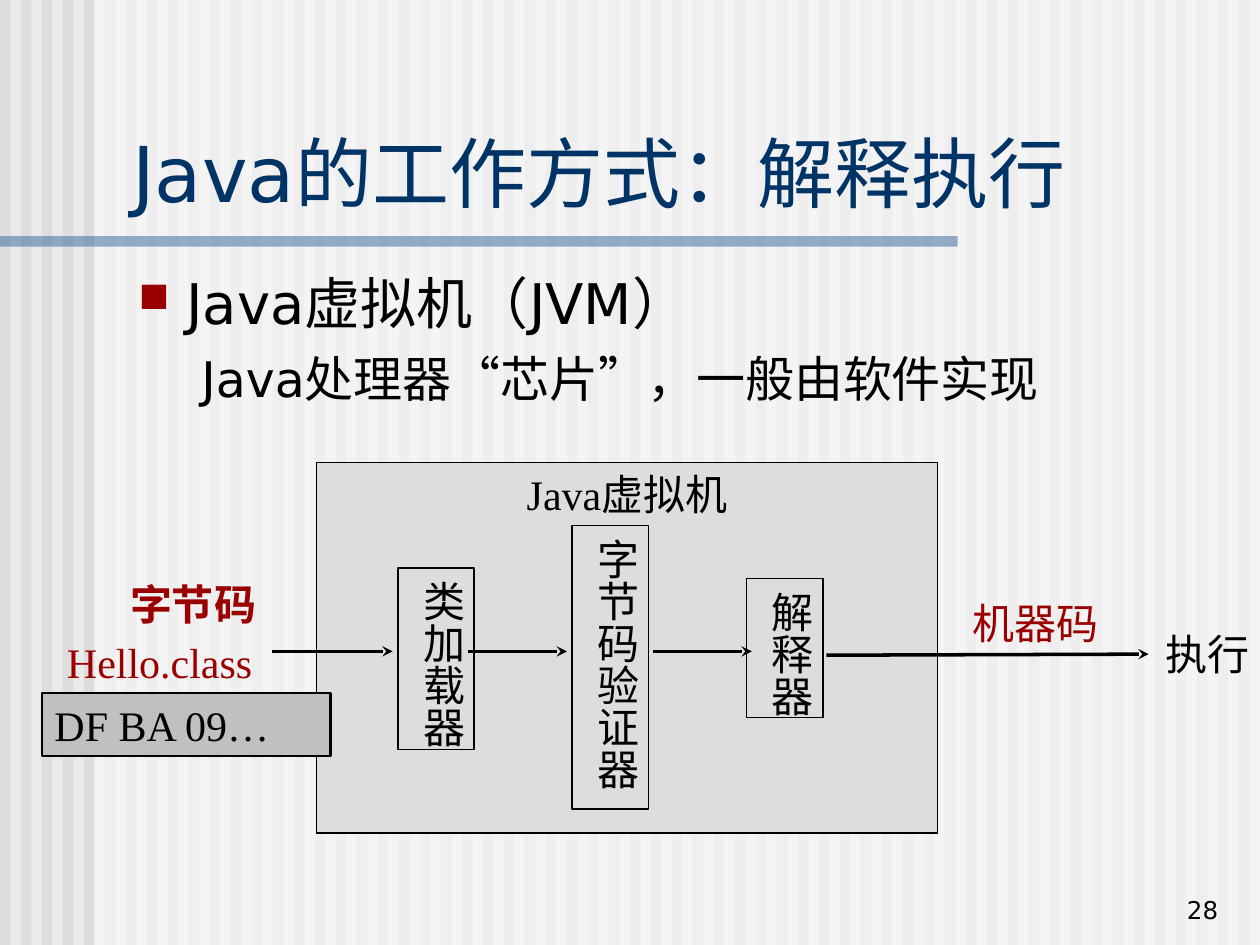
from dataclasses import dataclass

import pptx
import pptx.dml.color
import pptx.enum.shapes
import pptx.enum.text
import pptx.oxml
import pptx.oxml.ns
import pptx.util

COLS, ROWS = 60, 45
ALIGN = pptx.enum.text.PP_ALIGN
ANCHOR = pptx.enum.text.MSO_ANCHOR


@dataclass(frozen=True)
class Theme:
    """Colours, fonts and type sizes of the slide."""
    back: str = "EAEAEA"
    panel: str = "DDDDDD"
    code: str = "C0C0C0"
    veil: str = "FFFFFF"
    rule: str = "336699"
    title: str = "003366"
    accent: str = "9A0000"
    ink: str = "000000"
    sans: str = "DejaVu Sans"
    serif: str = "Times New Roman"
    title_pt: int = 44
    body_pt: int = 32
    sub_pt: int = 28
    label_pt: int = 24
    number_pt: int = 14


THEME = Theme()


def grid(*cells):
    """Convert grid cells to lengths."""
    return [pptx.util.Inches(c / 6) for c in cells]


def rgb(value):
    """Return a colour object."""
    return pptx.dml.color.RGBColor.from_string(value)


def add_xml(parent, tag, **attrs):
    """Append a DrawingML element with attributes."""
    child = pptx.oxml.parse_xml(f"<a:{tag} {pptx.oxml.ns.nsdecls('a')}/>")
    for name, value in attrs.items():
        child.set(name, str(value))
    parent.append(child)
    return child


def style(p, text, size, color=THEME.ink, font=THEME.serif, align=ALIGN.LEFT, bold=False):
    """Write and format one paragraph."""
    p.text = text
    p.alignment = align
    p.font.size = pptx.util.Pt(size)
    p.font.name = font
    p.font.bold = bold
    p.font.color.rgb = rgb(color)


def add_box(s, cells, fill, line=None, alpha=None):
    """Add a rectangle, outlined or translucent on request."""
    sp = s.shapes.add_shape(pptx.enum.shapes.MSO_SHAPE.RECTANGLE, *grid(*cells))
    sp.shadow.inherit = False
    sp.fill.solid()
    sp.fill.fore_color.rgb = rgb(fill)
    if alpha:
        color = sp.element.spPr.find(".//" + pptx.oxml.ns.qn("a:srgbClr"))
        add_xml(color, "alpha", val=alpha * 1000)
    if line:
        sp.line.color.rgb = rgb(THEME.ink)
        sp.line.width = pptx.util.Pt(line)
    else:
        sp.line.fill.background()
    return sp


def add_panel(s, cells, text, fill=THEME.panel, line=1, align=ALIGN.LEFT):
    """Add an outlined rectangle with text at its top."""
    sp = add_box(s, cells, fill, line)
    sp.text_frame.vertical_anchor = ANCHOR.TOP
    sp.text_frame.word_wrap = True
    style(sp.text_frame.paragraphs[0], text, THEME.label_pt, align=align)
    return sp


def add_stage(s, cells, text):
    """Add a processing stage with vertical text."""
    tf = add_panel(s, cells, text).text_frame
    tf.word_wrap = False
    tf.margin_left = tf.margin_right = pptx.util.Inches(0.05)
    tf.margin_top = tf.margin_bottom = pptx.util.Inches(0.1)
    tf._txBody.bodyPr.set("vert", "eaVert")


def add_label(s, cells, text, size=THEME.label_pt, anchor=ANCHOR.TOP, **look):
    """Add a free text label."""
    tf = s.shapes.add_textbox(*grid(*cells)).text_frame
    tf.word_wrap = True
    tf.vertical_anchor = anchor
    style(tf.paragraphs[0], text, size, **look)
    return tf


def add_arrow(s, x1, y1, x2, y2):
    """Add a straight arrow."""
    kind = pptx.enum.shapes.MSO_CONNECTOR.STRAIGHT
    cx = s.shapes.add_connector(kind, *grid(x1, y1, x2, y2))
    cx.line.color.rgb = rgb(THEME.ink)
    cx.line.width = pptx.util.Pt(2)
    add_xml(cx.line._get_or_add_ln(), "tailEnd", type="stealth")
    add_xml(cx.element.spPr, "effectLst")


def add_backdrop(s):
    """Draw the stripes, the veil and the title rule."""
    s.background.fill.solid()
    s.background.fill.fore_color.rgb = rgb(THEME.back)
    for col in range(COLS):
        add_box(s, (col, 0, 0.5, ROWS), THEME.panel)
    add_box(s, (4.5, 0, COLS - 4.5, ROWS), THEME.veil, alpha=50)
    add_box(s, (0, 11.25, 45.6, 0.5), THEME.rule, alpha=50)


def add_title(s, text):
    """Place the title placeholder above the backdrop."""
    sp = s.shapes.title
    s.shapes.element.append(sp.element)
    sp.left, sp.top, sp.width, sp.height = grid(5.7, 5.64, 53.6, 5.04)
    sp.text_frame.vertical_anchor = ANCHOR.BOTTOM
    style(sp.text_frame.paragraphs[0], text, THEME.title_pt, THEME.title, THEME.sans)


def add_body(s, heading, detail):
    """Add the bulleted heading and its detail line."""
    tf = add_label(s, (6, 12.5, 53.2, 27.5), heading, THEME.body_pt, font=THEME.sans)
    p = tf.add_paragraph()
    style(p, detail, THEME.sub_pt, font=THEME.sans)
    for p, before, left, first in zip(tf.paragraphs, (8, 7), (0.38, 0.81), (-0.38, -0.31)):
        p.space_before = pptx.util.Pt(before)
        pPr = p._p.get_or_add_pPr()
        pPr.set("marL", str(pptx.util.Inches(left)))
        pPr.set("indent", str(pptx.util.Inches(first)))
    pPr = tf.paragraphs[0]._p.pPr
    bullet = [add_xml(pPr, "buClr"), add_xml(pPr, "buSzPct", val=75000),
              add_xml(pPr, "buChar", char="■")]
    add_xml(bullet[0], "srgbClr", val=THEME.accent)
    for offset, item in enumerate(bullet):
        pPr.remove(item)
        pPr.insert_element_before(item, "a:tabLst", "a:defRPr", "a:extLst")


def add_machine(s):
    """Draw the virtual machine with its stages."""
    add_panel(s, (15.07, 22.03, 29.58, 17.63), "Java虚拟机", align=ALIGN.CENTER)
    stages = (("类加载器", 27.05, 8.65), ("字节码验证器", 25.03, 13.5), ("解释器", 27.55, 6.62))
    for i, (text, top, height) in enumerate(stages):
        add_stage(s, (18.95 + 8.3 * i, top, 3.63, height), text)
    for x1, x2 in ((22.3, 27), (31.1, 35.8), (12.95, 18.7)):
        add_arrow(s, x1, 31.02, x2, 31.02)


def add_input(s):
    """Draw the bytecode that enters the machine."""
    add_panel(s, (2, 33, 13.75, 3), "DF BA 09…", THEME.code, 1.5)
    add_label(s, (2.6, 30, 15.1, 3), "Hello.class", color=THEME.accent)
    add_label(s, (5.6, 27.25, 7.4, 3), "字节码", color=THEME.accent, font=THEME.sans, bold=True)


def add_output(s):
    """Draw the machine code that leaves for execution."""
    add_arrow(s, 39.35, 31.2, 54.7, 31.15)
    add_label(s, (54.9, 29.65, 5.8, 3), "执行")
    add_label(s, (45.7, 28.15, 7.4, 3), "机器码", color=THEME.accent, font=THEME.sans)


def main():
    """Build and save the slide."""
    prs = pptx.Presentation()
    prs.slide_width, prs.slide_height = grid(COLS, ROWS)
    s = prs.slides.add_slide(prs.slide_layouts[5])
    add_backdrop(s)
    add_title(s, "Java的工作方式：解释执行")
    add_body(s, "Java虚拟机（JVM）", "Java处理器“芯片”，一般由软件实现")
    add_machine(s)
    add_input(s)
    add_output(s)
    add_label(s, (46.1, 41.3, 12.5, 3), "28", THEME.number_pt, ANCHOR.BOTTOM,
              font=THEME.sans, align=ALIGN.RIGHT)
    prs.save("out.pptx")


if __name__ == "__main__":
    main()
